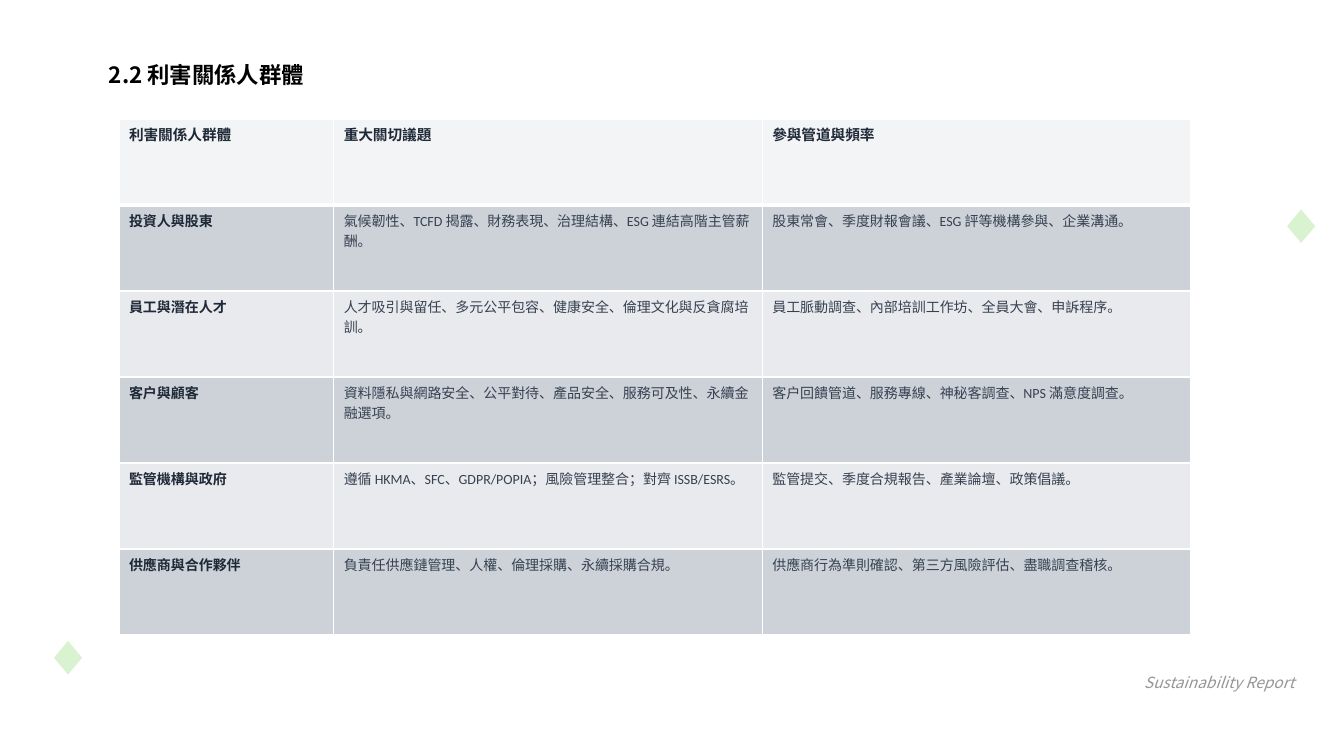
from dataclasses import dataclass

import pptx
import pptx.dml.color
import pptx.enum.shapes
import pptx.enum.text
import pptx.oxml
import pptx.oxml.ns
import pptx.util
from pptx.util import Inches


@dataclass(frozen=True)
class Theme:
    latin: str = "Calibri"
    asian: str = "Noto Sans CJK TC"
    white: str = "FFFFFF"
    black: str = "000000"
    leaf: str = "D9F2D0"
    heading: str = "1F2937"
    body: str = "374151"
    footer: str = "969696"
    header_fill: str = "F3F4F6"
    odd_fill: str = "CCD2D8"
    even_fill: str = "E8EAED"
    title_size: float = 16
    footer_size: float = 11
    header_size: float = 10.5
    body_size: float = 10


@dataclass(frozen=True)
class TextStyle:
    font: str
    size: float
    color: str
    bold: bool = False
    italic: bool = False


@dataclass(frozen=True)
class Diamond:
    left: float
    top: float


@dataclass(frozen=True)
class Stakeholder:
    group: str
    concerns: str
    channels: str


THEME = Theme()
TITLE_STYLE = TextStyle(THEME.asian, THEME.title_size, THEME.black, bold=True)
FOOTER_STYLE = TextStyle(THEME.asian, THEME.footer_size, THEME.footer, italic=True)
HEADER_STYLE = TextStyle(THEME.latin, THEME.header_size, THEME.heading, bold=True)
GROUP_STYLE = TextStyle(THEME.latin, THEME.body_size, THEME.heading, bold=True)
BODY_STYLE = TextStyle(THEME.latin, THEME.body_size, THEME.body)

DIAMONDS = [Diamond(12.75, 2.06), Diamond(0.52, 6.34)]
COLUMN_WIDTHS = [2.13, 4.25, 4.25]
TABLE_HEIGHT = 5.12
HEADER = Stakeholder("利害關係人群體", "重大關切議題", "參與管道與頻率")
STAKEHOLDERS = [
    Stakeholder(
        "投資人與股東",
        "氣候韌性、TCFD 揭露、財務表現、治理結構、ESG 連結高階主管薪酬。",
        "股東常會、季度財報會議、ESG 評等機構參與、企業溝通。",
    ),
    Stakeholder(
        "員工與潛在人才",
        "人才吸引與留任、多元公平包容、健康安全、倫理文化與反貪腐培訓。",
        "員工脈動調查、內部培訓工作坊、全員大會、申訴程序。",
    ),
    Stakeholder(
        "客戶與顧客",
        "資料隱私與網路安全、公平對待、產品安全、服務可及性、永續金融選項。",
        "客戶回饋管道、服務專線、神秘客調查、NPS 滿意度調查。",
    ),
    Stakeholder(
        "監管機構與政府",
        "遵循 HKMA、SFC、GDPR/POPIA；風險管理整合；對齊 ISSB/ESRS。",
        "監管提交、季度合規報告、產業論壇、政策倡議。",
    ),
    Stakeholder(
        "供應商與合作夥伴",
        "負責任供應鏈管理、人權、倫理採購、永續採購合規。",
        "供應商行為準則確認、第三方風險評估、盡職調查稽核。",
    ),
]


def rgb(color: str) -> pptx.dml.color.RGBColor:
    return pptx.dml.color.RGBColor.from_string(color)


def add_run(paragraph, text: str, style: TextStyle) -> None:
    run = paragraph.add_run()
    run.text = text
    font = run.font
    font.name = style.font
    font.size = pptx.util.Pt(style.size)
    font.color.rgb = rgb(style.color)
    font.bold = style.bold
    font.italic = style.italic
    latin = run._r.rPr.find(pptx.oxml.ns.qn("a:latin"))
    asian = pptx.oxml.parse_xml(
        f'<a:ea {pptx.oxml.ns.nsdecls("a")} typeface="{THEME.asian}"/>'
    )
    latin.addnext(asian)


def fill_text(shape, text: str, style: TextStyle, alignment) -> None:
    frame = shape.text_frame
    frame.word_wrap = True
    frame.auto_size = pptx.enum.text.MSO_AUTO_SIZE.NONE
    frame.vertical_anchor = pptx.enum.text.MSO_ANCHOR.TOP
    paragraph = frame.paragraphs[0]
    paragraph.alignment = alignment
    add_run(paragraph, text, style)


def add_title(slide) -> None:
    title = slide.shapes.title
    title.left, title.top = Inches(0.98), Inches(0.59)
    title.width, title.height = Inches(7.87), Inches(1)
    fill_text(title, "2.2 利害關係人群體", TITLE_STYLE, pptx.enum.text.PP_ALIGN.LEFT)
    title.text_frame.paragraphs[0].line_spacing = 0.9


def add_arc(slide) -> None:
    arc = slide.shapes.add_shape(
        pptx.enum.shapes.MSO_SHAPE.ARC,
        Inches(10.9), Inches(-3.38), Inches(4), Inches(4.97),
    )
    arc.shadow.inherit = False
    arc.rotation = 151.3
    for index, degrees in enumerate((152.05, 215.37)):
        arc.adjustments[index] = degrees * 0.6
    arc.fill.background()
    arc.line.color.rgb = rgb(THEME.leaf)
    arc.line.width = pptx.util.Pt(46.25)
    color = arc.line._ln.find(".//" + pptx.oxml.ns.qn("a:srgbClr"))
    color.append(pptx.oxml.parse_xml(
        f'<a:alpha {pptx.oxml.ns.nsdecls("a")} val="60000"/>'
    ))


def add_diamond(slide, diamond: Diamond) -> None:
    shape = slide.shapes.add_shape(
        pptx.enum.shapes.MSO_SHAPE.DIAMOND,
        Inches(diamond.left), Inches(diamond.top), Inches(0.31), Inches(0.37),
    )
    shape.shadow.inherit = False
    shape.fill.solid()
    shape.fill.fore_color.rgb = rgb(THEME.leaf)
    shape.line.color.rgb = rgb(THEME.white)
    shape.line.width = pptx.util.Pt(1.5)


def format_cell(cell, text: str, style: TextStyle, fill: str, bottom: float) -> None:
    properties = cell._tc.get_or_add_tcPr()
    for side, width in (("L", 1), ("R", 1), ("T", 1), ("B", bottom)):
        properties.append(pptx.oxml.parse_xml(
            f'<a:ln{side} {pptx.oxml.ns.nsdecls("a")} w="{pptx.util.Pt(width)}">'
            f'<a:solidFill><a:srgbClr val="{THEME.white}"/></a:solidFill></a:ln{side}>'
        ))
    cell.fill.solid()
    cell.fill.fore_color.rgb = rgb(fill)
    paragraph = cell.text_frame.paragraphs[0]
    paragraph.space_after = pptx.util.Pt(2)
    add_run(paragraph, text, style)


def add_stakeholder_table(slide) -> None:
    records = [HEADER, *STAKEHOLDERS]
    table = slide.shapes.add_table(
        len(records), len(COLUMN_WIDTHS),
        Inches(1.18), Inches(1.18), Inches(sum(COLUMN_WIDTHS)), Inches(TABLE_HEIGHT),
    ).table
    table.horz_banding = False
    for column, width in zip(table.columns, COLUMN_WIDTHS):
        column.width = Inches(width)
    for index, record in enumerate(records):
        table.rows[index].height = Inches(TABLE_HEIGHT / len(records))
        if index == 0:
            styles, fill, bottom = [HEADER_STYLE] * 3, THEME.header_fill, 3
        else:
            styles = [GROUP_STYLE, BODY_STYLE, BODY_STYLE]
            fill, bottom = THEME.odd_fill if index % 2 else THEME.even_fill, 1
        texts = (record.group, record.concerns, record.channels)
        for cell, text, style in zip(table.rows[index].cells, texts, styles):
            format_cell(cell, text, style, fill, bottom)


def add_footer(slide) -> None:
    box = slide.shapes.add_textbox(Inches(10.58), Inches(6.63), Inches(2.36), Inches(0.47))
    fill_text(box, "Sustainability Report", FOOTER_STYLE, pptx.enum.text.PP_ALIGN.RIGHT)


def main() -> None:
    presentation = pptx.Presentation()
    presentation.slide_width, presentation.slide_height = Inches(13.33), Inches(7.5)
    slide = presentation.slides.add_slide(presentation.slide_layouts[5])
    add_arc(slide)
    for diamond in DIAMONDS:
        add_diamond(slide, diamond)
    add_title(slide)
    add_stakeholder_table(slide)
    add_footer(slide)
    presentation.save("out.pptx")


if __name__ == "__main__":
    main()
